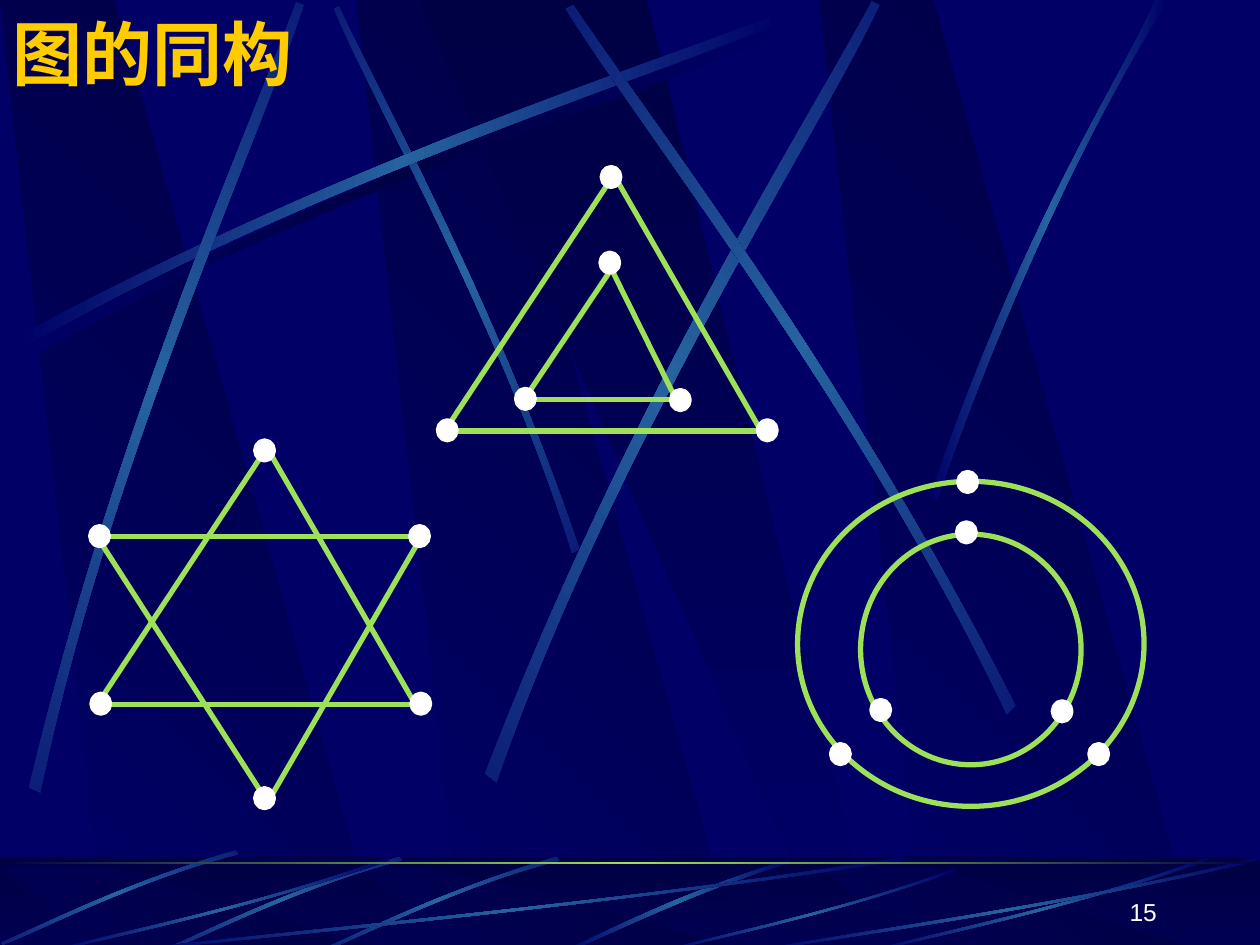
from copy import deepcopy
from math import cos, radians, sin

from lxml import etree
from pptx import Presentation
from pptx.dml.color import RGBColor
from pptx.enum.shapes import MSO_CONNECTOR, MSO_SHAPE
from pptx.enum.text import MSO_ANCHOR, PP_ALIGN
from pptx.oxml.ns import qn
from pptx.util import Inches, Pt

RECT, OVAL = MSO_SHAPE.RECTANGLE, MSO_SHAPE.OVAL
STRAIGHT = MSO_CONNECTOR.STRAIGHT
MIDDLE, BOTTOM = MSO_ANCHOR.MIDDLE, MSO_ANCHOR.BOTTOM
LEFT, RIGHT = PP_ALIGN.LEFT, PP_ALIGN.RIGHT

COLORS = {"night": "000066", "deep": "000044", "ray": "2663A0",
          "edge": "9CE157", "node": "FFFFFF", "title": "FFCC00"}

TITLE = dict(text="图的同构", box=(0, 0.03, 8.5, 0.77), size=40, font="Times New Roman",
             color="title", bold=True, align=LEFT, anchor=MIDDLE)
PAGE = dict(text="15", box=(7.2, 6.9, 2.08, 0.5), size=14, font="Arial",
            color="node", bold=False, align=RIGHT, anchor=BOTTOM)

STAR = dict(
    edges=[(2.1, 6.33, 0.79, 4.29), (3.29, 5.58, 2.14, 3.59), (3.35, 4.25, 2.1, 6.41),
           (0.82, 4.26, 3.35, 4.26), (0.78, 5.58, 2.1, 3.58), (0.83, 5.59, 3.36, 5.59)],
    rings=[],
    nodes=[(3.26, 4.18), (0.72, 4.18), (3.27, 5.51), (0.73, 5.51), (2.03, 3.5), (2.03, 6.26)])
NESTED_TRIANGLES = dict(
    edges=[(4.16, 3.17, 4.83, 2.17), (6.04, 3.42, 4.89, 1.42), (4.83, 2.09, 5.41, 3.26),
           (4.16, 3.17, 5.41, 3.17), (3.53, 3.42, 4.85, 1.42), (3.58, 3.42, 6.11, 3.42)],
    rings=[],
    nodes=[(5.33, 3.1), (4.77, 2.01), (6.02, 3.34), (3.48, 3.34), (4.78, 1.33), (4.1, 3.09)])
NESTED_RINGS = dict(
    edges=[],
    rings=[(6.83, 4.24, 1.75, 1.83), (6.33, 3.82, 2.75, 2.58)],
    nodes=[(8.36, 5.57), (7.6, 4.15), (8.65, 5.91), (6.6, 5.91), (7.61, 3.75), (6.92, 5.56)])
NODE_SIZE = (0.14, 0.15)

BEAM = [(0.28, 1), (1, 1), (0.3, 0), (0, 0)]
WIDE_BEAM = [(0, 0), (0.9, 1), (1, 1), (0.5, 0)]
BEAM_LEFTS = [2.83, 0, 6.5]
BEAM_WIDTH = 3.02
WALL = (0, 7.52)
FLOOR = (6.88, 0.66)
FLOOR_BOX = (0, 6.8, 10, 0.75)

LONG_RAY = [(0.14, 2.67), (2.78, 1.25), (5.18, 0.51), (6.2, 0.1),
            (6.23, 0.16), (5.22, 0.61), (2.48, 1.43), (0.17, 2.77)]
FIRST_STEEP_RAY = [(4.6, 4.36), (3.91, 2.34), (3.02, 0.77), (2.69, 0.05),
                   (2.65, 0.07), (2.95, 0.79), (3.98, 2.58), (4.54, 4.39)]
STEEP_RAYS = [
    (311.7, [(0.23, 6.25), (0.93, 3.34), (1.97, 1.05), (2.35, 0.02),
             (2.41, 0.04), (2.07, 1.09), (0.86, 3.68), (0.32, 6.29)]),
    (321.6, [(3.85, 6.14), (4.98, 3.2), (6.38, 1.02), (6.92, 0.01),
             (6.98, 0.04), (6.49, 1.08), (4.86, 3.55), (3.94, 6.21)]),
    (34.7, [(8.06, 5.6), (6.7, 2.93), (5.16, 0.95), (4.55, 0.04),
            (4.49, 0.07), (5.07, 1.01), (6.85, 3.25), (7.99, 5.67)]),
    (0, [(7.38, 3.94), (8.14, 1.73), (8.88, 0.66), (9.17, 0),
         (9.27, 0), (8.36, 1.45), (7.69, 3.22), (7.44, 3.97)]),
]
FLOOR_RAY = [(6.27, 6.82), (5.37, 7.09), (4.77, 7.42), (4.48, 7.54),
             (4.53, 7.55), (4.9, 7.38), (5.71, 7), (6.28, 6.85)]
SHORT_RAY = [(4.42, 6.8), (3.55, 7.05), (2.87, 7.4), (2.56, 7.53),
             (2.57, 7.55), (2.88, 7.43), (3.65, 7.03), (4.44, 6.83)]
SHORT_RAY_SHIFTS = [(0, 0), (-1.25, 0), (-2.55, -0.05)]
SWEEP = [(1, 0.04), (0.57, 0.57), (0.17, 0.85), (0.01, 1),
         (0, 0.99), (0.17, 0.81), (0.62, 0.51), (1, 0)]
SWEEP_BOXES = [(1, 6.8, 6.17, 0.75), (0.42, 6.8, 2.67, 0.75), (5.27, 6.89, 2.31, 0.66),
               (6.92, 6.8, 2.67, 0.75), (6, 6.8, 4, 0.75)]


def rgb(name):
    return RGBColor.from_string(COLORS[name])


def fit(points, left, top, width=1, height=1):
    return [(left + x * width, top + y * height) for x, y in points]


def turn(points, degrees):
    c, s = cos(radians(degrees)), sin(radians(degrees))
    return [(x * c - y * s, x * s + y * c) for x, y in points]


def unturn(points, degrees):
    flat = turn(points, -degrees)
    middle = tuple((min(axis) + max(axis)) / 2 for axis in zip(*flat))
    center = turn([middle], degrees)[0]
    return fit(flat, center[0] - middle[0], center[1] - middle[1])


def gradient(shape, names, angle):
    shape.fill.gradient()
    shape.fill.gradient_angle = angle
    stops = shape._element.spPr.find(".//" + qn("a:gsLst"))
    while len(stops) < len(names):
        stops.append(deepcopy(stops[-1]))
    for i, (stop, name) in enumerate(zip(shape.fill.gradient_stops, names)):
        stop.color.rgb = rgb(name)
        stop.position = i / (len(names) - 1)


def polygon(slide, points, names, angle):
    emu = [(Inches(x), Inches(y)) for x, y in points]
    builder = slide.shapes.build_freeform(*emu[0], scale=1.0)
    builder.add_line_segments(emu[1:], close=True)
    shape = builder.convert_to_shape()
    shape.shadow.inherit = False
    shape.line.fill.background()
    gradient(shape, names, angle)
    return shape


def ray(slide, points, middle="ray", rotation=0):
    shape = polygon(slide, unturn(points, rotation), ("night", middle, "night"), 0)
    shape.rotation = rotation
    lines = shape._element.spPr.findall(".//" + qn("a:lnTo"))
    for first in (0, 4):
        lines[first].tag = qn("a:cubicBezTo")
        for line in lines[first + 1:first + 3]:
            lines[first].append(line[0])
            line.getparent().remove(line)


def preset(slide, kind, box):
    shape = slide.shapes.add_shape(kind, *map(Inches, box))
    shape.shadow.inherit = False
    shape.fill.background()
    shape.line.fill.background()
    return shape


def outline(line, name):
    line.color.rgb = rgb(name)
    line.width = Pt(3)


def graph(slide, edges, rings, nodes):
    for ends in edges:
        edge = slide.shapes.add_connector(STRAIGHT, *map(Inches, ends))
        outline(edge.line, "edge")
        etree.SubElement(edge._element.spPr, qn("a:effectLst"))
    for box in rings:
        outline(preset(slide, OVAL, box).line, "edge")
    for corner in nodes:
        dot = preset(slide, OVAL, corner + NODE_SIZE)
        dot.fill.solid()
        dot.fill.fore_color.rgb = rgb("node")
        outline(dot.line, "node")


def label(slide, text, box, size, font, color, bold, align, anchor):
    frame = slide.shapes.add_textbox(*map(Inches, box)).text_frame
    frame.word_wrap = True
    frame.vertical_anchor = anchor
    paragraph = frame.paragraphs[0]
    paragraph.alignment = align
    run = paragraph.add_run()
    run.text = text
    run.font.size, run.font.name, run.font.bold = Pt(size), font, bold
    run.font.color.rgb = rgb(color)


def beams(slide, top, height):
    for left in BEAM_LEFTS:
        polygon(slide, fit(BEAM, left, top, BEAM_WIDTH, height), ("night", "deep"), 45)
    polygon(slide, fit(WIDE_BEAM, 3.33, top, 3.61, height), ("deep", "night"), 270)


def backdrop(slide):
    slide.background.fill.solid()
    slide.background.fill.fore_color.rgb = rgb("night")
    beams(slide, *WALL)
    ray(slide, fit(LONG_RAY, 0.06, 0.08), middle="deep")
    ray(slide, FIRST_STEEP_RAY, rotation=45)
    ray(slide, LONG_RAY)
    for rotation, points in STEEP_RAYS:
        ray(slide, points, rotation=rotation)

    gradient(preset(slide, RECT, FLOOR_BOX), ("deep", "night"), 270)
    beams(slide, *FLOOR)
    shade = preset(slide, RECT, FLOOR_BOX)
    shade.fill.solid()
    shade.fill.fore_color.rgb = rgb("deep")
    tint = shade._element.spPr.find(".//" + qn("a:srgbClr"))
    etree.SubElement(tint, qn("a:alpha"), val="50000")
    ray(slide, FLOOR_RAY)
    for shift in SHORT_RAY_SHIFTS:
        ray(slide, fit(SHORT_RAY, *shift), rotation=315)
    for box in SWEEP_BOXES:
        ray(slide, fit(SWEEP, *box))
    gradient(preset(slide, RECT, (0, 6.84, 10, 0.02)), ("deep", "edge", "deep"), 0)


def main():
    deck = Presentation()
    deck.slide_width, deck.slide_height = Inches(10), Inches(7.5)
    slide = deck.slides.add_slide(deck.slide_layouts[6])
    backdrop(slide)
    for parts in (STAR, NESTED_TRIANGLES, NESTED_RINGS):
        graph(slide, **parts)
    label(slide, **PAGE)
    label(slide, **TITLE)
    deck.save("out.pptx")


if __name__ == "__main__":
    main()
